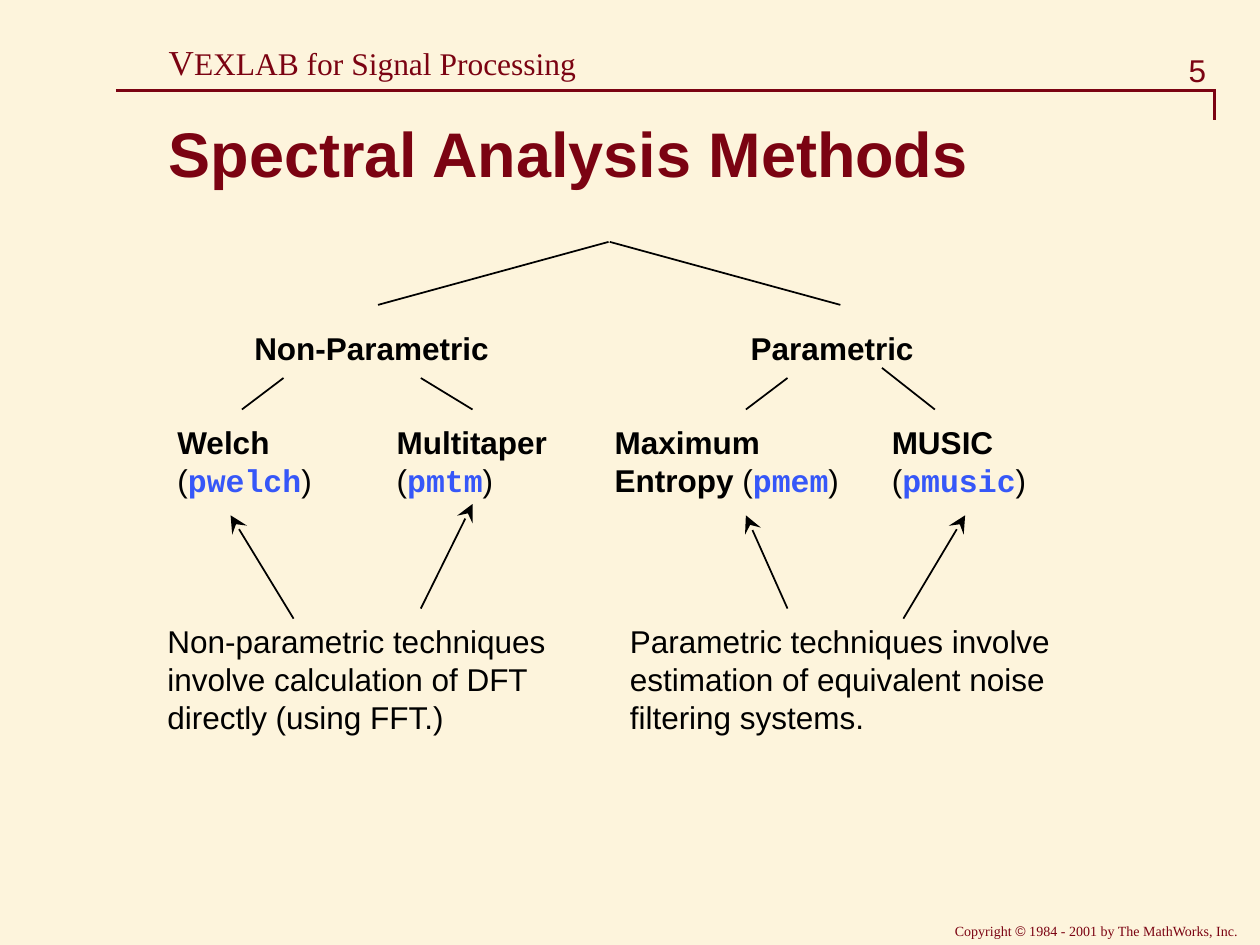
from lxml import etree
from pptx import Presentation
from pptx.dml.color import RGBColor
from pptx.enum import shapes, text
from pptx.oxml import ns
from pptx import util as u

COLORS = {
    "background": "FDF4DC",
    "maroon": "7B0312",
    "ink": "000000",
    "code": "3657F8",
}
SANS, SERIF, MONO = "Arial", "Times New Roman", "Courier New"


class SlideBuilder:
    def __init__(self, slide):
        self.slide = slide
        fill = slide.background.fill
        fill.solid()
        fill.fore_color.rgb = self.color("background")

    def color(self, name):
        return RGBColor.from_string(COLORS[name])

    def run(self, content, size=18, font=SANS, color="ink", bold=False):
        return content, size, font, color, bold

    def textbox(self, box, lines, wrap=False, middle=False, align="LEFT", spacing=None):
        shape = self.slide.shapes.add_textbox(*map(u.Inches, box))
        frame = shape.text_frame
        frame.word_wrap = wrap
        if middle:
            frame.vertical_anchor = text.MSO_ANCHOR.MIDDLE
        for index, runs in enumerate(lines):
            paragraph = frame.add_paragraph() if index else frame.paragraphs[0]
            paragraph.alignment = text.PP_ALIGN[align]
            if spacing:
                paragraph.line_spacing = spacing
            for content, size, font, color, bold in runs:
                run = paragraph.add_run()
                run.text = content
                run.font.size = u.Pt(size)
                run.font.name = font
                run.font.bold = bold
                run.font.color.rgb = self.color(color)

    def line(self, start, end, color="ink", width=1, arrow=False):
        connector = self.slide.shapes.add_connector(
            shapes.MSO_CONNECTOR.STRAIGHT, *map(u.Inches, start + end))
        connector.line.color.rgb = self.color(color)
        connector.line.width = u.Pt(width)
        properties = connector._element.spPr
        if arrow:
            etree.SubElement(properties.get_or_add_ln(), ns.qn("a:tailEnd"),
                             type="stealth", w="lg", len="lg")
        etree.SubElement(properties, ns.qn("a:effectLst"))

    def method(self, left, width, name, function, prefix=""):
        second = [self.run(prefix, bold=True)] if prefix else []
        second += [self.run("("), self.run(function, font=MONO, color="code", bold=True),
                   self.run(")")]
        self.textbox((left, 3.31, width, 0.7), [[self.run(name, bold=True)], second])


def add_header(builder):
    def maroon(content, size, font, bold=False):
        return builder.run(content, size, font, "maroon", bold)

    builder.textbox((7.48, 7.27, 2.46, 0.23), [[
        maroon("Copyright ", 8, SERIF), maroon("©", 8, SANS),
        maroon(" 1984 - 2001 by The MathWorks, Inc.", 8, SERIF)]])
    builder.textbox((9.13, 0.36, 0.54, 0.4), [[maroon("5", 18, SANS)]],
                    wrap=True, align="RIGHT")
    builder.line((0.92, 0.72), (9.65, 0.72), "maroon", 2)
    builder.line((9.64, 0.71), (9.64, 0.95), "maroon", 2)
    builder.textbox((1.24, 0.33, 8.35, 0.36), [[
        maroon("V", 20, SERIF), maroon("EXLAB for Signal Processing", 18, SERIF)]],
        wrap=True, middle=True, spacing=0.87)
    builder.textbox((1.24, 0.74, 8.38, 1.01),
                    [[maroon("Spectral Analysis Methods", 36, SANS, True)]],
                    wrap=True, middle=True, spacing=0.9)


def add_tree(builder):
    for left, width, family in ((1.92, 2.06, "Non-Parametric"), (5.86, 1.49, "Parametric")):
        builder.textbox((left, 2.56, width, 0.4), [[builder.run(family, bold=True)]])

    builder.method(1.31, 1.27, "Welch", "pwelch")
    builder.method(3.05, 1.4, "Multitaper", "pmtm")
    builder.method(4.78, 1.98, "Maximum", "pmem", prefix="Entropy ")
    builder.method(6.98, 1.27, "MUSIC", "pmusic")

    descriptions = (
        (1.23, 3.2, ("Non-parametric techniques", "involve calculation of DFT",
                     "directly (using FFT.)")),
        (4.9, 3.61, ("Parametric techniques involve", "estimation of equivalent noise",
                     "filtering systems.")),
    )
    for left, width, lines in descriptions:
        builder.textbox((left, 4.89, width, 1), [[builder.run(line)] for line in lines])

    branches = (
        ((4.83, 1.92), (3, 2.42)), ((4.84, 1.92), (6.67, 2.42)),
        ((2.25, 3), (1.92, 3.25)), ((3.34, 3), (3.75, 3.25)),
        ((6.25, 3), (5.92, 3.25)), ((7, 2.92), (7.42, 3.25)),
    )
    for start, end in branches:
        builder.line(start, end)

    arrows = (
        ((2.33, 4.91), (1.83, 4.09)), ((3.34, 4.83), (3.75, 4)),
        ((6.25, 4.83), (5.92, 4.09)), ((7.17, 4.91), (7.66, 4.09)),
    )
    for start, end in arrows:
        builder.line(start, end, arrow=True)


def main():
    presentation = Presentation()
    presentation.slide_width = u.Inches(10)
    presentation.slide_height = u.Inches(7.5)
    builder = SlideBuilder(presentation.slides.add_slide(presentation.slide_layouts[6]))
    add_header(builder)
    add_tree(builder)
    presentation.save("out.pptx")


if __name__ == "__main__":
    main()
